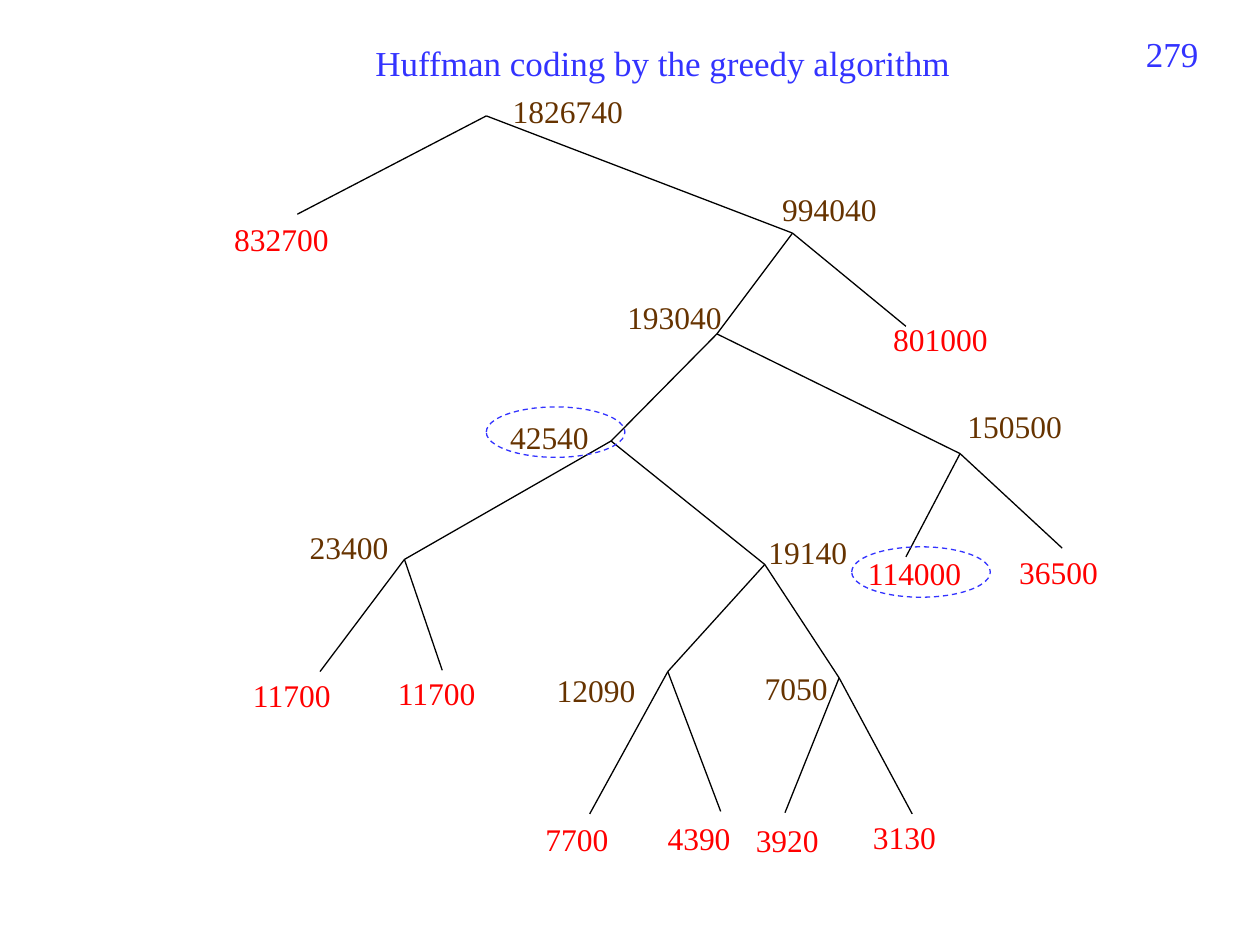
from dataclasses import dataclass

from lxml import etree
from pptx import Presentation
from pptx import util as u
from pptx.dml import color
from pptx.enum import dml, shapes, text
from pptx.oxml import ns

# Grid: 100 columns by 75 rows, each cell a tenth of an inch
COLUMNS, ROWS = 100, 75
CELL = u.Inches(0.1)
FONT = "Times New Roman"
COLORS = {"heading": "3333FF", "inner": "663300", "leaf": "FF0000", "edge": "000000"}
LABEL_HEIGHT = 4
DIGIT_WIDTH = 1.25
LABEL_MARGINS = 2


@dataclass(frozen=True)
class Node:
    weight: int
    joint: tuple[float, float]  # column and row where the edges meet
    label: tuple[float, float]  # column and row of the label's corner
    children: tuple["Node", ...] = ()


@dataclass(frozen=True)
class Ring:
    column: float
    row: float
    width: float = 11
    height: float = 4


# Huffman tree, from the bottom up
N12090 = Node(12090, (53, 53.3), (43.2, 52.8), (
    Node(7700, (46.8, 64.6), (42.3, 64.6)),
    Node(4390, (57.2, 64.4), (52, 64.5)),
))
N7050 = Node(7050, (66.6, 53.8), (59.7, 52.6), (
    Node(3920, (62.3, 64.5), (59, 64.7)),
    Node(3130, (72.4, 64.6), (68.3, 64.4)),
))
N23400 = Node(23400, (32.1, 44.4), (23.6, 41.4), (
    Node(11700, (25.4, 53.3), (19.1, 53.2)),
    Node(11700, (35.1, 53.2), (30.6, 53)),
))
N19140 = Node(19140, (60.7, 44.8), (60, 41.8), (N12090, N7050))
N42540 = Node(42540, (48.5, 35), (39.5, 32.7), (N23400, N19140))
N150500 = Node(150500, (76.2, 36), (75.8, 31.8), (
    Node(114000, (71.9, 44.2), (67.9, 43.5)),
    Node(36500, (84.3, 43.5), (79.9, 43.4)),
))
N193040 = Node(193040, (56.9, 26.5), (48.8, 23.2), (N42540, N150500))
N994040 = Node(994040, (62.9, 18.5), (61.1, 14.6), (
    N193040,
    Node(801000, (71.9, 25.9), (69.9, 24.9)),
))
ROOT = Node(1826740, (38.6, 9.2), (39.7, 6.8), (
    Node(832700, (23.6, 17), (17.6, 17)),
    N994040,
))
RINGS = (Ring(38.6, 32.3), Ring(67.6, 43.4))


def cells(*counts: float) -> list[int]:
    return [round(count * CELL) for count in counts]


def rgb(name: str) -> color.RGBColor:
    return color.RGBColor.from_string(COLORS[name])


def add_text(page, words: str, place: tuple, size: int, ink: str,
             align=text.PP_ALIGN.LEFT, wrap: bool = True) -> None:
    frame = page.shapes.add_textbox(*cells(*place)).text_frame
    frame.word_wrap = wrap
    frame.text = words
    para = frame.paragraphs[0]
    para.alignment = align
    span = para.runs[0]
    span.font.name = FONT
    span.font.size = u.Pt(size)
    span.font.color.rgb = rgb(ink)


def add_edge(page, start: tuple, end: tuple) -> None:
    edge = page.shapes.add_connector(
        shapes.MSO_CONNECTOR.STRAIGHT, *cells(*start, *end))
    edge.line.color.rgb = rgb("edge")
    edge.line.width = u.Pt(0.75)
    etree.SubElement(edge._element.spPr, ns.qn("a:effectLst"))


def add_tree(page, node: Node) -> None:
    for child in node.children:
        add_edge(page, node.joint, child.joint)
        add_tree(page, child)
    words = str(node.weight)
    width = LABEL_MARGINS + DIGIT_WIDTH * len(words)
    add_text(page, words, (*node.label, width, LABEL_HEIGHT), 18,
             "inner" if node.children else "leaf", wrap=False)


def add_ring(page, ring: Ring) -> None:
    oval = page.shapes.add_shape(
        shapes.MSO_SHAPE.OVAL, *cells(ring.column, ring.row, ring.width, ring.height))
    oval.shadow.inherit = False
    oval.fill.background()
    oval.line.color.rgb = rgb("heading")
    oval.line.width = u.Pt(0.75)
    oval.line.dash_style = dml.MSO_LINE.DASH


def main() -> None:
    deck = Presentation()
    deck.slide_width, deck.slide_height = cells(COLUMNS, ROWS)
    page = deck.slides.add_slide(deck.slide_layouts[6])

    # Page number and title
    add_text(page, "279", (72.8, 2.1, 23.3, 5.2), 20, "heading", text.PP_ALIGN.RIGHT)
    add_text(page, "Huffman coding by the greedy algorithm", (27.5, 2.8, 50.2, 4.4),
             20, "heading", text.PP_ALIGN.CENTER)

    # Tree, then the rings around the two weights compared
    add_tree(page, ROOT)
    for ring in RINGS:
        add_ring(page, ring)

    deck.save("out.pptx")


if __name__ == "__main__":
    main()
